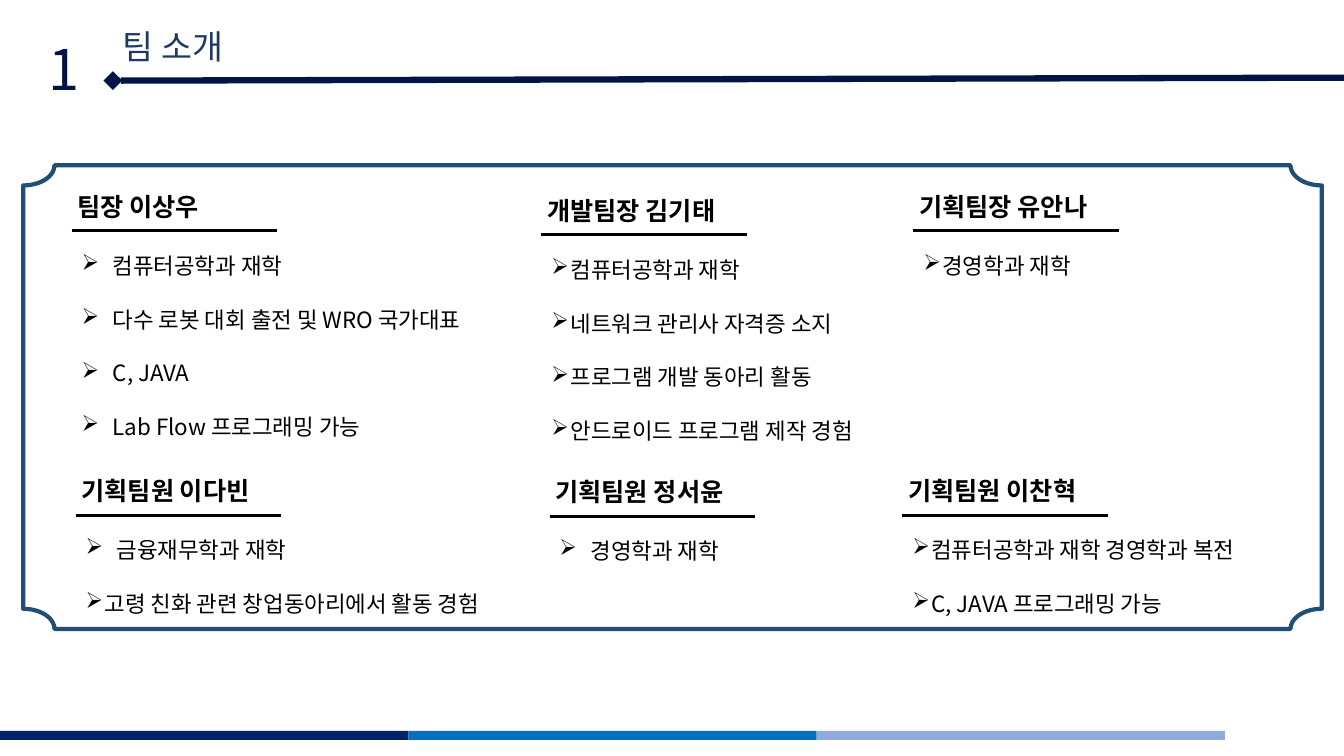
import math
from collections import namedtuple

from lxml import etree
from pptx import Presentation, util as u
from pptx.dml.color import RGBColor
from pptx.enum import shapes, text
from pptx.oxml import ns

NAVY = RGBColor(0x00, 0x15, 0x45)
TITLE_BLUE = RGBColor(0x20, 0x38, 0x64)
FRAME_BLUE = RGBColor(0x1F, 0x4E, 0x79)
BLACK = RGBColor(0, 0, 0)
WHITE = RGBColor(255, 255, 255)
FOOTER_COLORS = (RGBColor(0x00, 0x21, 0x6C), RGBColor(0x00, 0x70, 0xC0),
                 RGBColor(0x8F, 0xAA, 0xDC))
FONT = "Noto Sans CJK KR"
WIDE, NARROW = 0.31, 0.19  # bullet indents in inches

Box = namedtuple("Box", "left top width height")
SLIDE = Box(0, 0, 13.33, 7.5)
HEADER = Box(0.38, 0.21, 12.95, 0.85)
FRAME = Box(0.23, 1.64, 12.88, 4.6)
FOOTER = Box(0, 7.25, 12.15, 0.09)

# Left and top in percent of the frame, name, bullets with their indents
MEMBERS = (
    (3.42, 4.57, "팀장 이상우", (
        ("컴퓨터공학과 재학", WIDE), ("다수 로봇 대회 출전 및 WRO 국가대표", WIDE),
        ("C, JAVA", WIDE), ("Lab Flow 프로그래밍 가능", WIDE))),
    (39.6, 5.43, "개발팀장 김기태", (
        ("컴퓨터공학과 재학", NARROW), ("네트워크 관리사 자격증 소지", NARROW),
        ("프로그램 개발 동아리 활동", NARROW), ("안드로이드 프로그램 제작 경험", NARROW))),
    (68.24, 4.57, "기획팀장 유안나", (("경영학과 재학", NARROW),)),
    (3.73, 65.87, "기획팀원 이다빈", (
        ("금융재무학과 재학", WIDE), ("고령 친화 관련 창업동아리에서 활동 경험", NARROW))),
    (40.22, 66.09, "기획팀원 정서윤", (("경영학과 재학", WIDE),)),
    (67.39, 65.87, "기획팀원 이찬혁", (
        ("컴퓨터공학과 재학 경영학과 복전", NARROW), ("C, JAVA 프로그래밍 가능", NARROW))),
)


def inches(box):
    return [u.Inches(length) for length in box]


def style(paragraph, size, color, bold=False):
    font = paragraph.font
    font.size, font.bold, font.name = u.Pt(size), bold, FONT
    font.color.rgb = color
    for run in paragraph.runs:
        run.font.size, run.font.bold, run.font.name = u.Pt(size), bold, FONT
        run.font.color.rgb = color
        properties = run.font._element
        if properties.find(ns.qn("a:ea")) is None:
            etree.SubElement(properties, ns.qn("a:ea")).set("typeface", FONT)


def add_text(slide, box, words, size, color, bold=False):
    shape = slide.shapes.add_textbox(*inches(box))
    frame = shape.text_frame
    frame.word_wrap = False
    frame.vertical_anchor = text.MSO_ANCHOR.TOP
    frame.text = words
    style(frame.paragraphs[0], size, color, bold)
    return shape


def add_line(slide, start, end, color, width):
    line = slide.shapes.add_connector(shapes.MSO_CONNECTOR.STRAIGHT,
                                      *inches(start + end))
    line.line.color.rgb = color
    line.line.width = u.Pt(width)
    etree.SubElement(line._element.spPr, ns.qn("a:effectLst"))
    return line


def add_bullet(paragraph, indent):
    properties = paragraph._p.get_or_add_pPr()
    properties.set("marL", str(u.Inches(indent)))
    properties.set("indent", str(-u.Inches(indent)))
    bullet = etree.Element(ns.qn("a:buChar"))
    bullet.set("char", "➢")
    defaults = properties.find(ns.qn("a:defRPr"))
    if defaults is None:
        properties.append(bullet)
    else:
        defaults.addprevious(bullet)


def draw_header(slide, box):
    rule_left = box.left + 0.74
    rule = add_line(slide, (box.left + 13.27, box.top + 0.56),
                    (rule_left, box.top + 0.59), NAVY, 4.5)
    outline = rule.line._get_or_add_ln()
    etree.SubElement(outline, ns.qn("a:tailEnd")).set("type", "diamond")
    add_text(slide, Box(rule_left, box.top, 1.32, 0.5), "팀 소개", 24, TITLE_BLUE)
    add_text(slide, Box(box.left, box.top + 0.08, 0.55, 0.77), "1", 40, NAVY)


def draw_frame(slide, box):
    """Panel whose four corners are scooped out by quarter ellipses."""
    radius_x, radius_y, steps = 0.31, 0.2, 16
    right, bottom = box.left + box.width, box.top + box.height
    corners = ((right, box.top, 180), (right, bottom, 270),
               (box.left, bottom, 360), (box.left, box.top, 90))
    points = []
    for x, y, start in corners:
        for step in range(steps + 1):
            angle = math.radians(start - 90 * step / steps)
            points.append((u.Inches(x + radius_x * math.cos(angle)),
                           u.Inches(y + radius_y * math.sin(angle))))
    builder = slide.shapes.build_freeform(*points[0])
    builder.add_line_segments(points[1:], close=True)
    panel = builder.convert_to_shape()
    panel.shadow.inherit = False
    panel.fill.solid()
    panel.fill.fore_color.rgb = WHITE
    panel.line.color.rgb = FRAME_BLUE
    panel.line.width = u.Pt(3)


def draw_member(slide, box, name, bullets):
    add_text(slide, Box(box.left, box.top, 2.06, 0.4), name, 18, BLACK, True)
    left, rule_top = box.left + 0.04, box.top + 0.44
    add_line(slide, (left, rule_top), (left + 2.04, rule_top), BLACK, 2.25)
    height = 0.53 * len(bullets)
    body = add_text(slide, Box(left, box.top + 0.6, box.width, height),
                    "\n".join(words for words, indent in bullets), 16, BLACK)
    for index, paragraph in enumerate(body.text_frame.paragraphs):
        if index:
            paragraph.space_before = u.Pt(19.2)
        add_bullet(paragraph, bullets[index][1])
        style(paragraph, 16, BLACK)


def draw_members(slide, box):
    for left_share, top_share, name, bullets in MEMBERS:
        left = box.left + box.width * left_share / 100
        top = box.top + box.height * top_share / 100
        width = min(4.7, box.left + box.width - left)
        draw_member(slide, Box(left, top, width, 2.8), name, bullets)


def draw_footer(slide, box):
    width = box.width / len(FOOTER_COLORS)
    for index, color in enumerate(FOOTER_COLORS):
        band = slide.shapes.add_shape(
            shapes.MSO_SHAPE.RECTANGLE,
            *inches((box.left + index * width, box.top, width, box.height)))
        band.shadow.inherit = False
        band.fill.solid()
        band.fill.fore_color.rgb = color
        band.line.fill.background()


def main():
    presentation = Presentation()
    presentation.slide_width = u.Inches(SLIDE.width)
    presentation.slide_height = u.Inches(SLIDE.height)
    slide = presentation.slides.add_slide(presentation.slide_layouts[6])
    draw_footer(slide, FOOTER)
    draw_header(slide, HEADER)
    draw_frame(slide, FRAME)
    draw_members(slide, FRAME)
    presentation.save("out.pptx")


if __name__ == "__main__":
    main()
